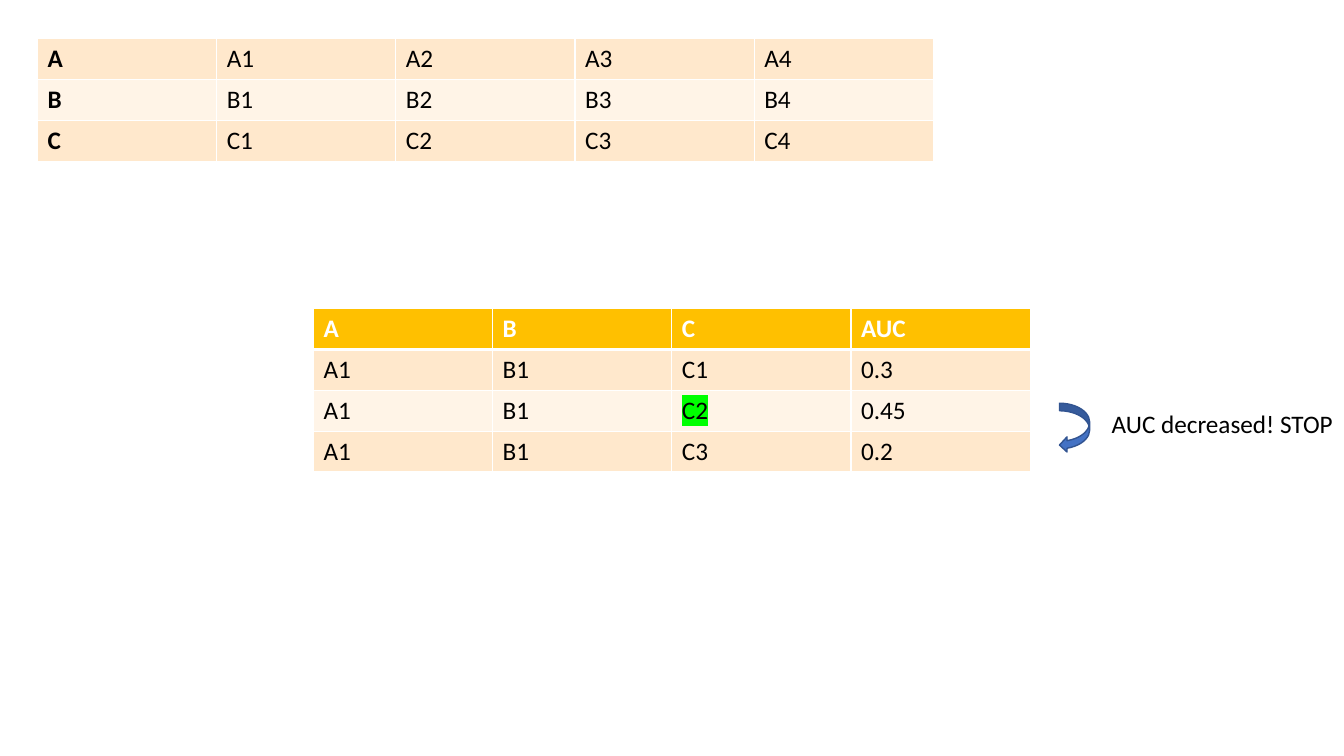
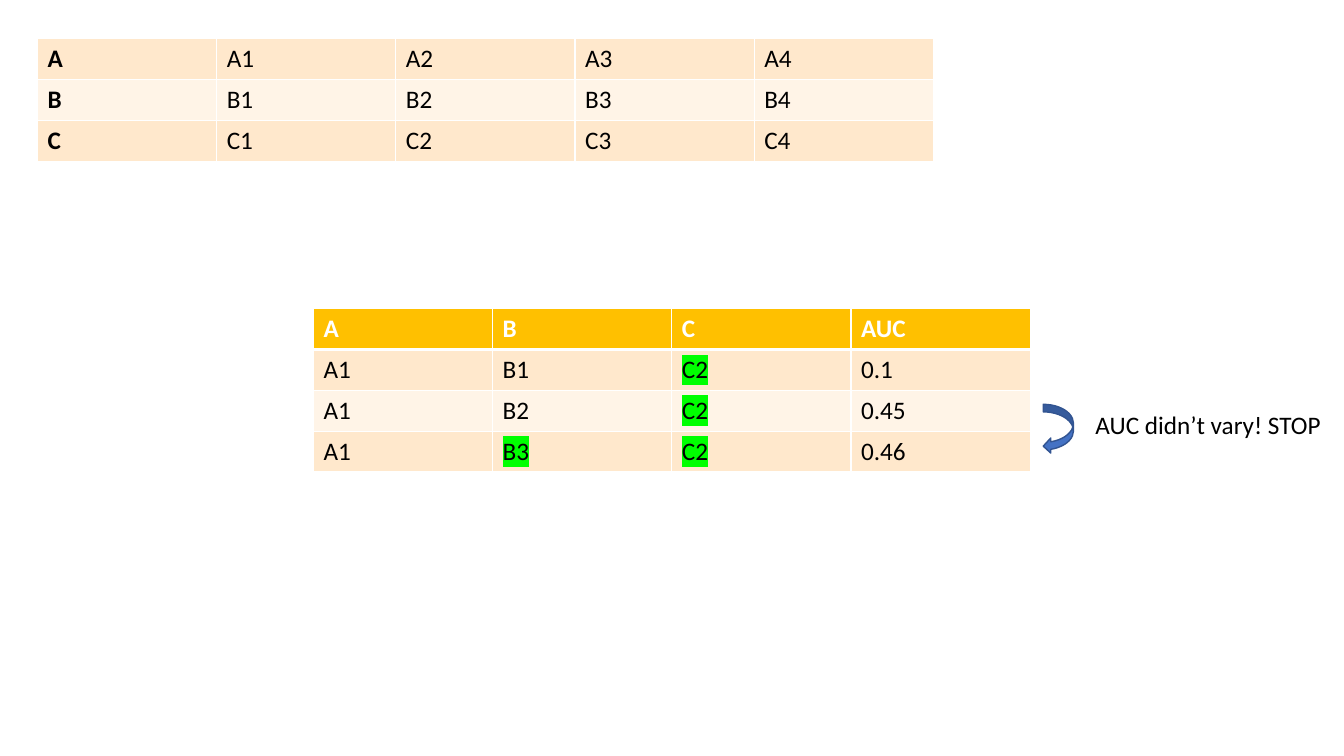
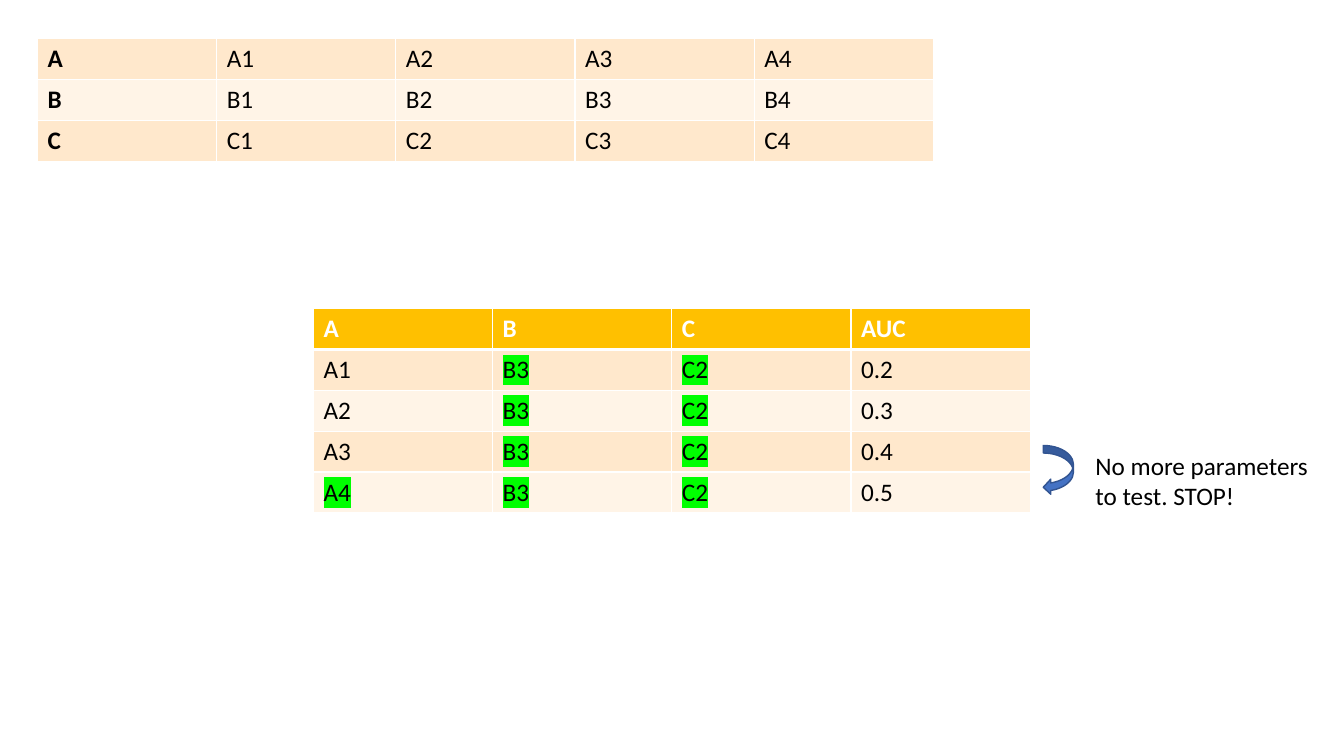
"""Three slides tracing a parameter search, one parameter at a time, by its AUC."""
from lxml.etree import SubElement
from pptx import Presentation
from pptx.dml.color import RGBColor
from pptx.enum.shapes import MSO_SHAPE
from pptx.enum.text import MSO_AUTO_SIZE
from pptx.oxml.ns import qn
from pptx.util import Pt

BLACK = RGBColor(0x00, 0x00, 0x00)
WHITE = RGBColor(0xFF, 0xFF, 0xFF)
AMBER = RGBColor(0xFF, 0xC0, 0x00)
PEACH = RGBColor(0xFF, 0xE8, 0xCC)
CREAM = RGBColor(0xFF, 0xF4, 0xE7)
GREEN = RGBColor(0x00, 0xFF, 0x00)
BLUE = RGBColor(0x44, 0x72, 0xC4)
NAVY = RGBColor(0x32, 0x54, 0x91)
FONT = "Calibri"
COLUMN_WIDTH, ROW_HEIGHT = 128, 29.2
SLIDE_WIDTH = 960

PARAMETERS = [[name] + [f"{name}{n}" for n in range(1, 5)] for name in "ABC"]
TRIAL_HEADINGS = ["A", "B", "C", "AUC"]

STEPS = [
    ([["A1", "B1", "C1", "0.3"], ["A1", "B1", "C2", "0.45"], ["A1", "B1", "C3", "0.2"]],
     {"C2"}, "AUC decreased! STOP", 756.8, 288),
    ([["A1", "B1", "C2", "0.1"], ["A1", "B2", "C2", "0.45"], ["A1", "B3", "C2", "0.46"]],
     {"B3", "C2"}, "AUC didn’t vary! STOP", 745.2, 288.8),
    ([[f"A{n}", "B3", "C2", f"0.{n + 1}"] for n in range(1, 5)],
     {"A4", "B3", "C2"}, "No more parameters to test. STOP!", 745.2, 318.2),
]


def style_run(run, color, bold=False):
    run.font.name = FONT
    run.font.size = Pt(18)
    run.font.bold = bold
    run.font.color.rgb = color


def add_grid(slide, rows, left, top, headed, chosen):
    grid = slide.shapes.add_table(
        len(rows), len(rows[0]), Pt(left), Pt(top),
        Pt(COLUMN_WIDTH * len(rows[0])), Pt(ROW_HEIGHT * len(rows))).table
    for r, values in enumerate(rows):
        grid.rows[r].height = Pt(ROW_HEIGHT)
        heading = headed and r == 0
        band = PEACH if (r - headed) % 2 == 0 else CREAM
        for c, value in enumerate(values):
            cell = grid.cell(r, c)
            cell.text_frame.text = value
            run = cell.text_frame.paragraphs[0].runs[0]
            style_run(run, WHITE if heading else BLACK, heading or (not headed and c == 0))
            if value in chosen:
                properties = run.font._element
                highlight = SubElement(properties, qn("a:highlight"))
                SubElement(highlight, qn("a:srgbClr"), val=str(GREEN))
                properties.find(qn("a:solidFill")).addnext(highlight)
            borders = cell._tc.get_or_add_tcPr()
            for side in "LRTB":
                thick = headed and (r, side) in ((0, "B"), (1, "T"))
                edge = SubElement(borders, qn(f"a:ln{side}"), w=str(Pt(3 if thick else 1)))
                SubElement(SubElement(edge, qn("a:solidFill")), qn("a:srgbClr"), val=str(WHITE))
            cell.fill.solid()
            cell.fill.fore_color.rgb = AMBER if heading else band


deck = Presentation()
deck.slide_width, deck.slide_height = Pt(SLIDE_WIDTH), Pt(540)

for trials, chosen, verdict, arrow_left, arrow_top in STEPS:
    slide = deck.slides.add_slide(deck.slide_layouts[6])
    add_grid(slide, PARAMETERS, 26.8, 27.6, False, set())
    add_grid(slide, [TRIAL_HEADINGS] + trials, 223.9, 220.4, True, chosen)

    arrow = slide.shapes.add_shape(
        MSO_SHAPE.CURVED_LEFT_ARROW, Pt(arrow_left), Pt(arrow_top), Pt(21.6), Pt(35.3))
    arrow.shadow.inherit = False
    arrow.fill.solid()
    arrow.fill.fore_color.rgb = BLUE
    arrow.line.color.rgb = NAVY
    arrow.line.width = Pt(1)

    verdict_left = arrow_left + 30.2
    verdict_height = 50.9 if len(verdict) > 25 else 29.1
    verdict_box = slide.shapes.add_textbox(
        Pt(verdict_left), Pt(arrow_top), Pt(SLIDE_WIDTH + 0.6 - verdict_left), Pt(verdict_height))
    verdict_box.text_frame.word_wrap = True
    verdict_box.text_frame.auto_size = MSO_AUTO_SIZE.SHAPE_TO_FIT_TEXT
    verdict_box.text_frame.text = verdict
    style_run(verdict_box.text_frame.paragraphs[0].runs[0], BLACK)

deck.save("out.pptx")
